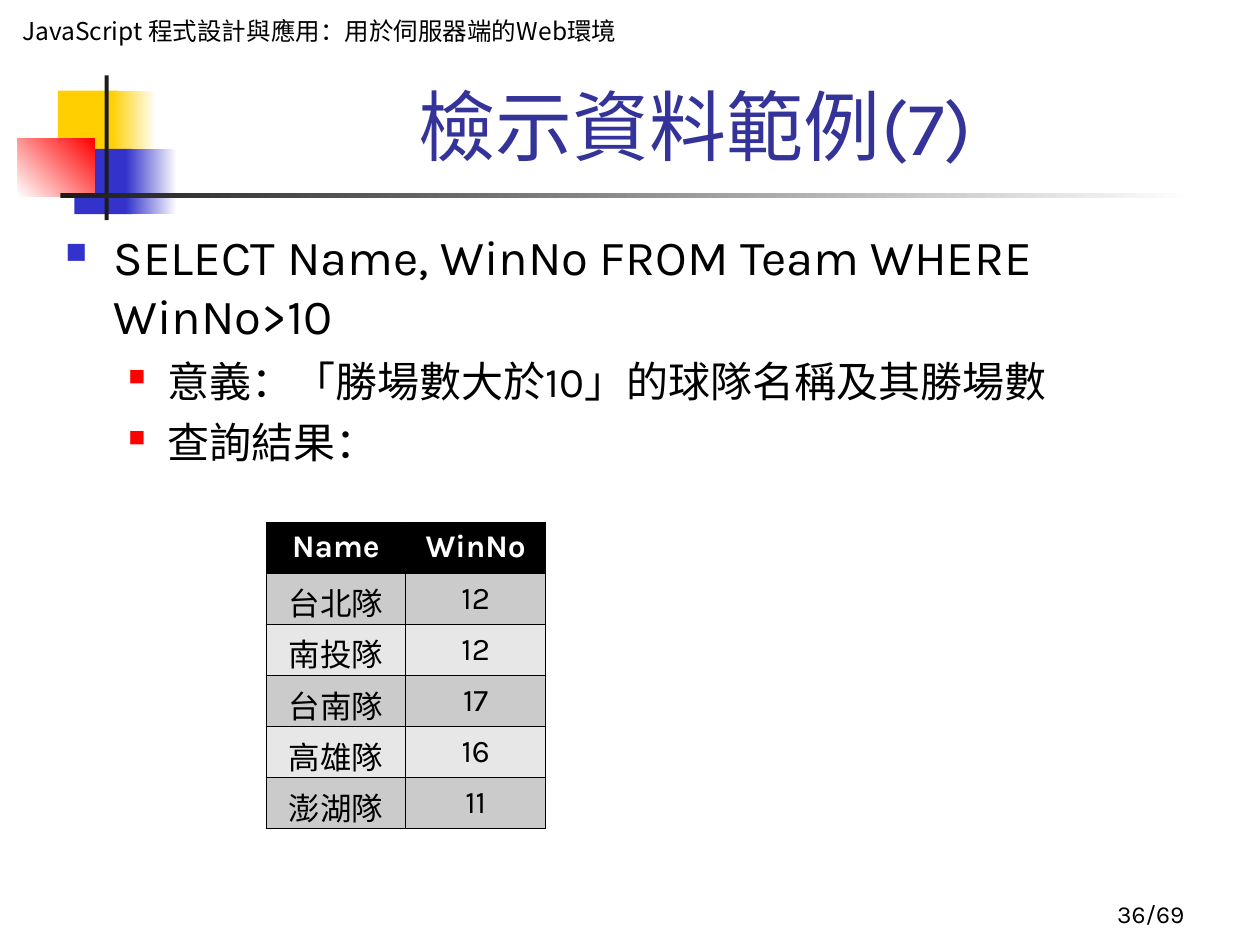
import pptx
import pptx.util
import pptx.oxml
import pptx.oxml.ns
import pptx.dml.color
import pptx.enum.shapes
import pptx.enum.text

Cm, Pt = pptx.util.Cm, pptx.util.Pt
ALIGN = pptx.enum.text.PP_ALIGN
ANCHOR = pptx.enum.text.MSO_ANCHOR
RECT = pptx.enum.shapes.MSO_SHAPE.RECTANGLE
NS = pptx.oxml.ns.nsdecls("a")

HUES = {
    "gold": "FFCF01", "blue": "3333CC", "red": "FF0000", "ink": "1C1C1C",
    "navy": "333399", "black": "000000", "white": "FFFFFF",
    "dark": "CBCBCB", "light": "E7E7E7",
}


def color(name):
    return pptx.dml.color.RGBColor.from_string(HUES[name])


def write(para, text, size, hue="black", face="Karla", bold=False, align=ALIGN.LEFT):
    para.alignment = align
    run = para.add_run()
    run.text = text
    form = {"size": Pt(size), "name": face, "bold": bold}
    for key, value in form.items():
        setattr(run.font, key, value)
    run.font.color.rgb = color(hue)


deck = pptx.Presentation()
deck.slide_width, deck.slide_height = Cm(25.4), Cm(19.05)
slide = deck.slides.add_slide(deck.slide_layouts[6])
shapes = slide.shapes

# Corner blocks and rules: box, start colour, end colour, angle
blocks = [
    ((1.17, 1.83, 1.22, 1.32), "gold", None, 0),
    ((2.24, 1.83, 0.91, 1.32), "gold", "white", 0),
    ((1.5, 3, 1.17, 1.32), "blue", None, 0),
    ((2.54, 3, 1.02, 1.32), "blue", "white", 0),
    ((0.36, 2.79, 1.55, 1.17), "white", "red", 45),
    ((2.11, 1.52, 0.08, 2.92), "ink", None, 0),
    ((1.22, 3.89, 22.86, 0.1), "ink", "white", 0),
]
for box, start, end, angle in blocks:
    block = shapes.add_shape(RECT, *map(Cm, box))
    block.shadow.inherit = False
    block.line.fill.background()
    if end:
        block.fill.gradient()
        block.fill.gradient_angle = angle
        for stop, hue in zip(block.fill.gradient_stops, (start, end)):
            stop.color.rgb = color(hue)
    else:
        block.fill.solid()
        block.fill.fore_color.rgb = color(start)

# Header, title and page number
labels = [
    ((0.2, 0.2, 12.5, 1.45), ANCHOR.TOP, "JavaScript 程式設計與應用：用於伺服器端的Web環境",
     {"size": 14, "face": "Noto Sans CJK SC"}),
    ((3.2, 1.47, 21.64, 2.11), ANCHOR.BOTTOM, "檢示資料範例(7)",
     {"size": 44, "hue": "navy", "align": ALIGN.CENTER}),
    ((18.85, 17.58, 5.28, 1.27), ANCHOR.BOTTOM, "36/69",
     {"size": 14, "align": ALIGN.RIGHT}),
]
for box, anchor, text, form in labels:
    frame = shapes.add_textbox(*map(Cm, box)).text_frame
    frame.word_wrap = True
    frame.vertical_anchor = anchor
    write(frame.paragraphs[0], text, **form)

# Bulleted body: level, text
points = [
    (0, "SELECT Name, WinNo FROM Team WHERE WinNo>10"),
    (1, "意義：「勝場數大於10」的球隊名稱及其勝場數"),
    (1, "查詢結果："),
]
# Per level: left margin, indent, bullet colour, bullet percent, text size
levels = [(0.97, -0.97, "blue", 60, 28), (2.06, -0.79, "red", 55, 24)]
frame = shapes.add_textbox(Cm(1.07), Cm(4.45), Cm(23.83), Cm(12.9)).text_frame
frame.word_wrap = True
for index, (level, text) in enumerate(points):
    left, hang, hue, part, size = levels[level]
    para = frame.add_paragraph() if index else frame.paragraphs[0]
    para.level = level
    if index:
        para.space_before = Pt(6)
    props = para._p.get_or_add_pPr()
    props.set("marL", str(Cm(left)))
    props.set("indent", str(Cm(hang)))
    for mark in (
        f'<a:buClr {NS}><a:srgbClr val="{HUES[hue]}"/></a:buClr>',
        f'<a:buSzPct {NS} val="{part * 1000}"/>',
        f'<a:buChar {NS} char="■"/>',
    ):
        props.append(pptx.oxml.parse_xml(mark))
    write(para, text, size)

# Query result table
rows = [
    ("Name", "WinNo"), ("台北隊", "12"), ("南投隊", "12"),
    ("台南隊", "17"), ("高雄隊", "16"), ("澎湖隊", "11"),
]
table = shapes.add_table(
    len(rows), 2, Cm(5.36), Cm(10.52), Cm(5.64), Cm(1.03 * len(rows))).table
for r, row in enumerate(rows):
    head = r == 0
    shade = "black" if head else "dark" if r % 2 else "light"
    for c, text in enumerate(row):
        cell = table.cell(r, c)
        cell.vertical_anchor = ANCHOR.MIDDLE
        for side in "LRTB":
            cell._tc.get_or_add_tcPr().append(pptx.oxml.parse_xml(
                f'<a:ln{side} {NS} w="{Pt(0.45)}"><a:solidFill>'
                f'<a:srgbClr val="{HUES["black"]}"/></a:solidFill></a:ln{side}>'))
        cell.fill.solid()
        cell.fill.fore_color.rgb = color(shade)
        write(cell.text_frame.paragraphs[0], text, 18,
              "white" if head else "black", bold=head, align=ALIGN.CENTER)

deck.save("out.pptx")
